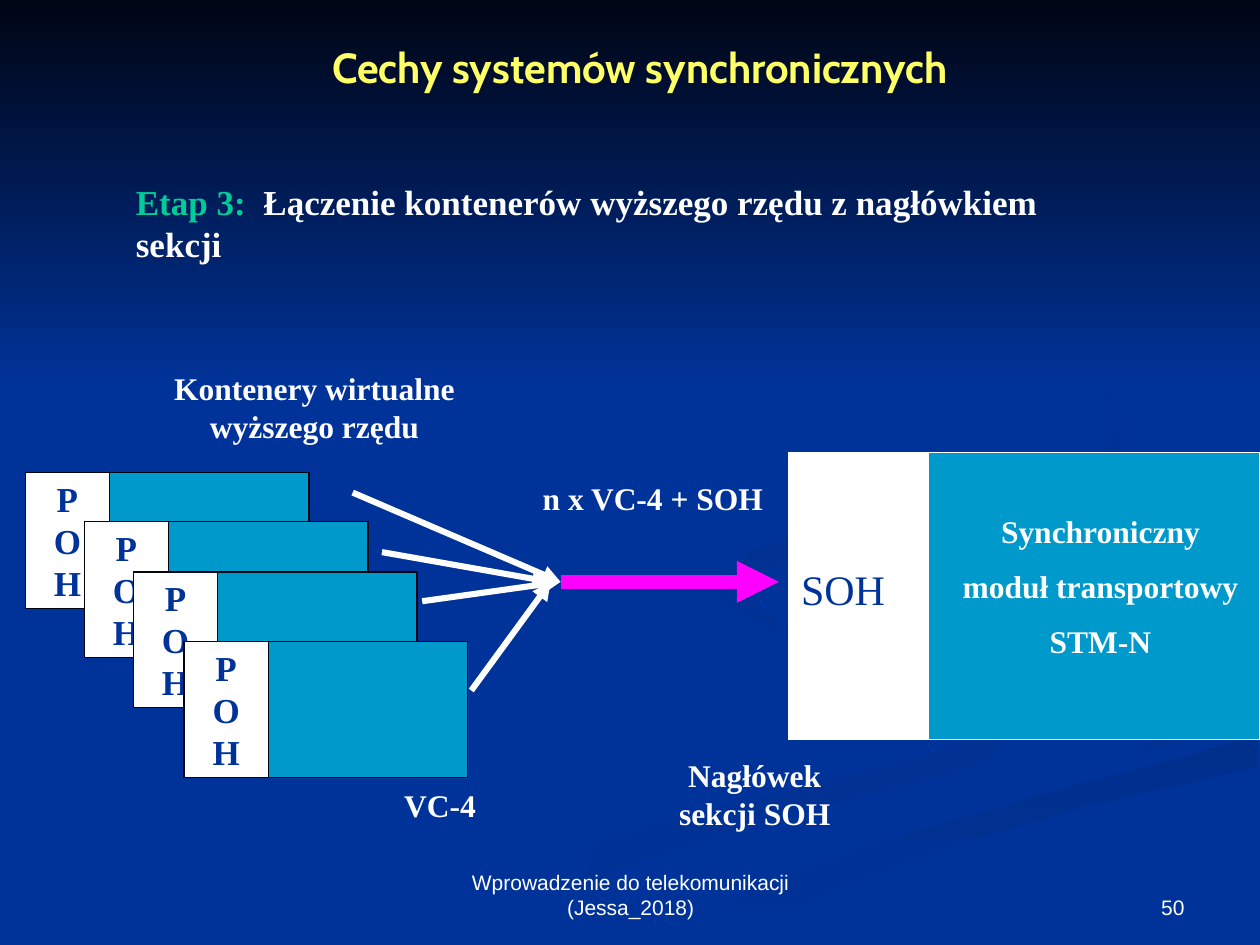
from lxml import etree
from pptx import Presentation
from pptx.dml.color import RGBColor
from pptx.enum.shapes import MSO_CONNECTOR, MSO_SHAPE
from pptx.enum.text import MSO_ANCHOR, PP_ALIGN
from pptx.oxml.ns import qn
from pptx.util import Cm, Pt

RECTANGLE = MSO_SHAPE.RECTANGLE
STRAIGHT = MSO_CONNECTOR.STRAIGHT
TOP, MIDDLE, BOTTOM = MSO_ANCHOR.TOP, MSO_ANCHOR.MIDDLE, MSO_ANCHOR.BOTTOM
LEFT, CENTER, RIGHT = PP_ALIGN.LEFT, PP_ALIGN.CENTER, PP_ALIGN.RIGHT
SERIF = "Times New Roman"
NAVY, WHITE, CYAN, BLACK = "003399", "FFFFFF", "0099CC", "000514"
rgb = RGBColor.from_string

prs = Presentation()
prs.slide_width, prs.slide_height = Cm(25.4), Cm(19.05)
slide = prs.slides.add_slide(prs.slide_layouts[6])
shapes = slide.shapes
slide.background.fill.solid()
slide.background.fill.fore_color.rgb = rgb(NAVY)


def add_block(left, top, width, height, fill, line):
    block = shapes.add_shape(RECTANGLE, Cm(left), Cm(top), Cm(width), Cm(height))
    block.shadow.inherit = False
    block.fill.solid()
    block.fill.fore_color.rgb = rgb(fill)
    block.line.color.rgb = rgb(line)
    block.line.width = Pt(0.75)
    return block


def write(shape, text, size, color=WHITE, font=SERIF, bold=True,
          align=CENTER, anchor=TOP, wrap=True):
    frame = shape.text_frame
    frame.text = text
    frame.word_wrap = wrap
    frame.vertical_anchor = anchor
    for paragraph in frame.paragraphs:
        paragraph.alignment = align
        for run in paragraph.runs:
            run.font.size = Pt(size)
            run.font.name = font
            run.font.bold = bold
            run.font.color.rgb = rgb(color)
    return frame


swooshes = [
    (NAVY, "003193", 0, [
        (19.84, 14.05), (19.23, 13.79), (18.16, 13.41), (16.79, 13.03), (15.6, 12.6),
        (14.91, 12.22), (14.63, 11.91), (14.6, 11.66), (14.48, 11.94), (14.76, 12.29),
        (15.52, 12.67), (16.61, 13.03), (18.14, 13.46), (19.35, 13.89), (19.94, 14.27),
        (19.89, 14.58), (19.28, 14.99), (18.14, 15.37), (15.65, 15.98), (13.69, 16.48),
        (11.63, 17.12), (9.55, 17.96), (7.62, 19.02), (9.17, 19.02), (10.95, 18.14),
        (12.67, 17.45), (15.09, 16.66), (17.17, 16.1), (19.2, 15.6), (19.96, 15.27),
        (20.29, 14.86), (20.19, 14.4)]),
    (NAVY, "003193", 45, [
        (23.95, 14.48), (23.62, 14.05), (22.56, 13.59), (21.08, 13.18), (19.66, 12.78),
        (18.62, 12.27), (18.39, 11.79), (18.54, 12.29), (19.18, 12.83), (20.24, 13.31),
        (22.05, 13.82), (23.04, 14.27), (23.32, 14.76), (22.71, 15.37), (23.67, 14.96)]),
    ("002F8C", NAVY, 90, [
        (12.78, 19.02), (14.5, 19.02), (15.6, 18.44), (17.02, 17.83), (19.1, 17.07),
        (21.87, 16.26), (25.35, 15.47), (25.35, 14.76), (24.13, 15.19), (21.11, 15.98),
        (19.41, 16.43), (16.81, 17.3), (14.45, 18.26), (13.18, 18.97)]),
    (NAVY, NAVY, 0, [
        (18.42, 11.79), (18.92, 12.45), (20.62, 13.08), (22.99, 13.72), (23.95, 14.48),
        (23.65, 14.99), (21.41, 15.7), (17.88, 16.64), (14.55, 17.86), (12.12, 19.02),
        (13.18, 18.97), (15.21, 17.93), (17.68, 16.99), (21.13, 15.98), (25.37, 14.76),
        (25.37, 13.67), (22.96, 13.18), (20.75, 12.5), (19.84, 11.76), (20.6, 11.1),
        (22.83, 10.62), (25.37, 10.21), (25.37, 9.83), (22.2, 10.36), (19.56, 10.85),
        (18.59, 11.33)]),
    ("002F8E", NAVY, 45, [
        (17.35, 10.92), (19.41, 10.59), (20.96, 10.21), (22.02, 9.75), (22.58, 9.19),
        (22.68, 8.51), (22.17, 7.59), (20.85, 6.63), (19.35, 5.92), (20.98, 6.76),
        (22.1, 7.59), (22.58, 8.51), (22.25, 9.14), (21.39, 9.6), (19.38, 10.11),
        (16.48, 10.67), (15.16, 11.1), (14.66, 11.73), (14.99, 12.29), (15.8, 12.7),
        (15.09, 12.07), (15.27, 11.58), (16.13, 11.18)]),
    (BLACK, NAVY, 90, [(0, 0), (0, 7.82), (25.4, 7.82), (25.4, 0)]),
]
for first, last, angle, outline in swooshes:
    points = [(Cm(x), Cm(y)) for x, y in outline]
    builder = shapes.build_freeform(*points[0])
    builder.add_line_segments(points[1:], close=True)
    swoosh = builder.convert_to_shape()
    swoosh.shadow.inherit = False
    swoosh.line.fill.background()
    if first == last:
        swoosh.fill.solid()
        swoosh.fill.fore_color.rgb = rgb(first)
    else:
        swoosh.fill.gradient()
        swoosh.fill.gradient_angle = (360 - angle) % 360
        for stop, color in zip(swoosh.fill.gradient_stops, (first, last)):
            stop.color.rgb = rgb(color)

for left, top in [(0.51, 9.53), (1.7, 10.52), (2.69, 11.53), (3.71, 12.93)]:
    add_block(left, top, 5.72, 2.74, CYAN, BLACK)
    poh = add_block(left, top, 1.7, 2.74, WHITE, BLACK)
    letters = write(poh, "P\nO\nH", 20, NAVY, anchor=MIDDLE, wrap=False)
    for paragraph in letters.paragraphs:
        paragraph.line_spacing = Pt(24)

arrows = [
    (11.3, 11.73, 15.7, 11.73, "FF00FF", 8),
    (9.5, 13.92, 11.1, 11.73, WHITE, 3.5),
    (8.51, 12.12, 11.3, 11.73, WHITE, 3.5),
    (7.7, 11.13, 11.1, 11.73, WHITE, 3.5),
    (7.11, 9.93, 11.3, 11.73, WHITE, 3.5),
]
for x1, y1, x2, y2, color, width in arrows:
    arrow = shapes.add_connector(STRAIGHT, Cm(x1), Cm(y1), Cm(x2), Cm(y2))
    arrow.line.color.rgb = rgb(color)
    arrow.line.width = Pt(width)
    etree.SubElement(arrow.line._get_or_add_ln(), qn("a:tailEnd"), type="triangle")
    etree.SubElement(arrow._element.spPr, qn("a:effectLst"))

add_block(15.9, 9.12, 9.5, 5.79, CYAN, WHITE)
add_block(15.9, 9.12, 2.82, 5.79, WHITE, WHITE)

labels = [
    (1.3, 0.71, 23.19, 1.27, "Cechy systemów synchronicznych", 24,
     dict(color="FFFF66", font="Cabin")),
    (15.9, 11.23, 2.21, 1.27, "SOH", 24,
     dict(color=NAVY, bold=False, align=LEFT, wrap=False)),
    (18.97, 10.19, 6.43, 3.3, "Synchroniczny\nmoduł transportowy\nSTM-N", 18, {}),
    (2.49, 3.94, 20.4, 1.09,
     "Etap 3:  Łączenie kontenerów wyższego rzędu z nagłówkiem sekcji", 20,
     dict(align=LEFT, anchor=MIDDLE)),
    (10.69, 9.53, 5.21, 1.02, "n x VC-4 + SOH", 18, dict(align=LEFT)),
    (13.31, 15.11, 3.81, 1.78, "Nagłówek sekcji SOH", 18, {}),
    (3.1, 7.32, 6.48, 1.78, "Kontenery wirtualne wyższego rzędu", 18, {}),
    (7.9, 15.72, 2.11, 1.02, "VC-4", 18, dict(align=LEFT)),
    (8.69, 17.35, 8.05, 1.32, "Wprowadzenie do telekomunikacji (Jessa_2018)", 12,
     dict(font="Arial", bold=False, anchor=BOTTOM)),
    (18.21, 17.35, 5.92, 1.32, "50", 12,
     dict(font="Arial", bold=False, align=RIGHT, anchor=BOTTOM)),
]
for left, top, width, height, text, size, style in labels:
    label = shapes.add_textbox(Cm(left), Cm(top), Cm(width), Cm(height))
    frame = write(label, text, size, **style)
    for paragraph in frame.paragraphs[1:]:
        paragraph.space_before = Pt(10)
    stage, colon, description = text.partition(":")
    if colon:
        heading = frame.paragraphs[0]
        heading.runs[0].text = stage + colon
        rest = heading.add_run()
        rest.text = description
        rest.font.size, rest.font.name, rest.font.bold = Pt(size), SERIF, True
        rest.font.color.rgb = rgb(WHITE)
        heading.runs[0].font.color.rgb = rgb("00CC99")

prs.save("out.pptx")
